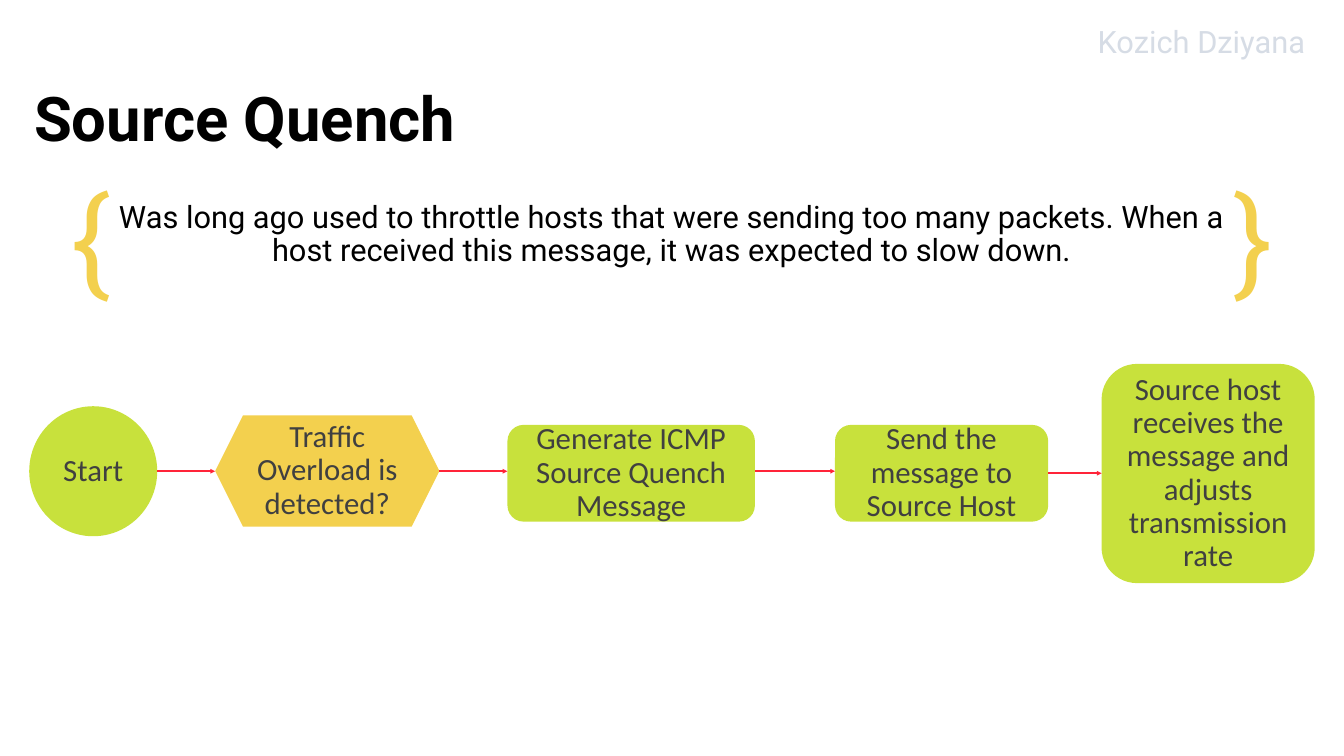
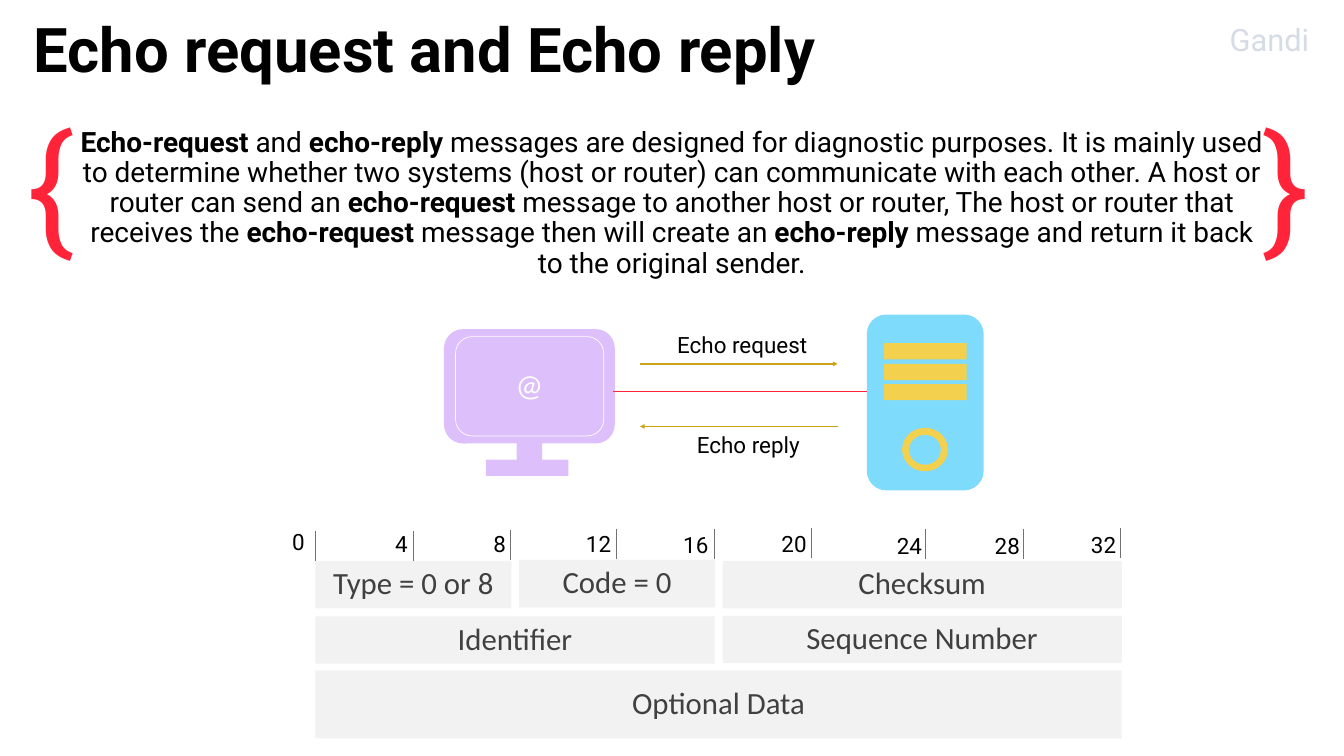
"""Build two slides on ICMP source quench and echo messages."""
import itertools

import pptx
import pptx.dml.color
import pptx.enum.shapes
import pptx.enum.text
import pptx.oxml.ns
import pptx.util
from lxml import etree

SHAPE = pptx.enum.shapes.MSO_SHAPE
ANCHOR = pptx.enum.text.MSO_ANCHOR
ALIGN = pptx.enum.text.PP_ALIGN

PX = 9144
WIDTH, HEIGHT = 2667, 1500
BLACK, WHITE, DARK, PALE = "000000", "FFFFFF", "404040", "D6DCE5"
GREEN, YELLOW, RED, GOLD = "C8E13C", "F3D04E", "FF2439", "CBA318"
LILAC, BLUE, GREY, TICK = "DDBFFC", "7FDBFB", "F2F2F2", "767171"

QUENCH = {
    "title": ("Source Quench", (58, 96, 1357, 290)),
    "author": ("Kozich Dziyana", (2172, 48, 437, 78)),
    "body": ([("Was long ago used to throttle hosts that were sending too many packets. "
               "When a host received this message, it was expected to slow down.", False)],
             (185, 396, 2297, 181), 44),
    "braces": ((133, 2437), (355, 98, 263), 166, YELLOW),
}
STEPS = [
    ("Start", SHAPE.OVAL, GREEN, (58, 806, 254, 258)),
    ("Traffic Overload is detected?", SHAPE.HEXAGON, YELLOW, (427, 824, 445, 221)),
    ("Generate ICMP Source Quench Message", SHAPE.ROUNDED_RECTANGLE, GREEN, (1007, 843, 491, 192)),
    ("Send the message to Source Host", SHAPE.ROUNDED_RECTANGLE, GREEN, (1657, 843, 423, 192)),
    ("Source host receives the message and adjusts transmission rate",
     SHAPE.ROUNDED_RECTANGLE, GREEN, (2186, 722, 423, 435)),
]
ARROW_HEIGHTS = [935, 935, 935, 939]

ECHO = {
    "title": ("Echo request and Echo reply", (57, -41, 1720, 290)),
    "author": ("Gandi", (2434, 43, 176, 78)),
    "body": ([("Echo-request", True), (" and ", False), ("echo-reply", True),
              (" messages are designed for diagnostic purposes. It is mainly used to determine "
               "whether two systems (host or router) can communicate with each other. A host or "
               "router can send an ", False), ("echo-request", True),
              (" message to another host or router, The host or router that receives the ", False),
              ("echo-request", True), (" message then will create an ", False),
              ("echo-reply", True),
              (" message and return it back to the original sender.", False)],
             (146, 249, 2374, 266), 40),
    "braces": ((45, 2496), (226, 113, 313), 199, RED),
}
COMPUTER = [
    (SHAPE.ROUNDED_RECTANGLE, (881, 653, 339, 227), LILAC, None, "@"),
    (SHAPE.ROUNDED_RECTANGLE, (904, 668, 294, 197), None, WHITE, ""),
    (SHAPE.RECTANGLE, (1025, 876, 51, 59), LILAC, None, ""),
    (SHAPE.RECTANGLE, (964, 912, 164, 32), LILAC, None, ""),
]
SERVER_CASE = (1720, 624, 232, 349)
DRIVE_TOPS = [681, 722, 762]
BUTTON_RINGS = [((1790, 849, 91, 86), YELLOW), ((1804, 863, 63, 59), BLUE)]
LINKS = [
    ((1216, 777), (1720, 777), RED, False),
    ((1270, 722), (1662, 722), GOLD, True),
    ((1662, 846), (1270, 846), GOLD, True),
]
LINK_LABELS = [("Echo request", (1334, 658, 284, 59)), ("Echo reply", (1373, 856, 232, 59))]
FIELDS = [
    ("Type = 0 or 8", (626, 1113, 389, 94)),
    ("Code = 0", (1030, 1111, 389, 94)),
    ("Identifier", (626, 1223, 792, 94)),
    ("Sequence Number", (1434, 1222, 792, 94)),
    ("Checksum", (1434, 1113, 792, 94)),
    ("Optional Data", (626, 1330, 1600, 135)),
]
BIT_STEP = 4
BIT_MARKS = [
    ((626, 1054), (570, 1048, 45)),
    ((820, 1054), (774, 1053, 45)),
    ((1013, 1052), (969, 1052, 45)),
    ((1223, 1050), (1153, 1053, 70)),
    ((1417, 1050), (1346, 1055, 70)),
    ((1610, 1048), (1541, 1053, 87)),
    ((1837, 1050), (1770, 1057, 87)),
    ((2031, 1050), (1964, 1057, 87)),
    ((2224, 1048), (2155, 1055, 87)),
]


def rgb(value):
    return pptx.dml.color.RGBColor.from_string(value)


def emu(lengths):
    return [length * PX for length in lengths]


def write(shape, spans, size, color, font="Roboto", align=ALIGN.LEFT,
          anchor=ANCHOR.TOP, wrap=True):
    frame = shape.text_frame
    frame.word_wrap = wrap
    frame.vertical_anchor = anchor
    para = frame.paragraphs[0]
    para.alignment = align
    para.line_spacing = 0.9
    for text, bold in spans:
        span = para.add_run()
        span.text = text
        span.font.name = font
        span.font.size = pptx.util.Pt(size)
        span.font.bold = bold
        span.font.color.rgb = rgb(color)


def add_text(shapes, place, spans, size, color, **style):
    box = shapes.add_textbox(*emu(place))
    write(box, spans, size, color, **style)
    return box


def add_shape(shapes, kind, place, fill=None, line=None, text="", color=DARK):
    shape = shapes.add_shape(kind, *emu(place))
    shape.shadow.inherit = False
    if fill:
        shape.fill.solid()
        shape.fill.fore_color.rgb = rgb(fill)
    else:
        shape.fill.background()
    if line:
        shape.line.color.rgb = rgb(line)
        shape.line.width = pptx.util.Pt(1)
    else:
        shape.line.fill.background()
    if text:
        write(shape, [(text, False)], 44, color, "Calibri", ALIGN.CENTER, ANCHOR.MIDDLE)


def add_line(shapes, start, end, color, width=2.25, arrow=False):
    line = shapes.add_connector(pptx.enum.shapes.MSO_CONNECTOR.STRAIGHT, *emu(start + end))
    line.line.color.rgb = rgb(color)
    line.line.width = pptx.util.Pt(width)
    if arrow:
        etree.SubElement(line.line._get_or_add_ln(), pptx.oxml.ns.qn("a:tailEnd"), type="triangle")
    etree.SubElement(line._element.spPr, pptx.oxml.ns.qn("a:effectLst"))


def add_page(deck, content):
    page = deck.slides.add_slide(deck.slide_layouts[6])
    spans, place, size = content["body"]
    add_text(page.shapes, place, spans, size, BLACK, align=ALIGN.CENTER)
    title, place = content["title"]
    add_text(page.shapes, place, [(title, True)], 88, BLACK, anchor=ANCHOR.MIDDLE)
    lefts, (top, width, height), size, color = content["braces"]
    for brace, left in zip("{}", lefts):
        add_text(page.shapes, (left, top, width, height), [(brace, False)], size, color, wrap=False)
    author, place = content["author"]
    box = add_text(page.shapes, place, [(author, False)], 44, PALE,
                   anchor=ANCHOR.MIDDLE, wrap=False)
    frame = box.text_frame
    frame.margin_left = frame.margin_right = frame.margin_top = frame.margin_bottom = 6 * PX
    return page


def draw_flow(shapes):
    for text, kind, fill, place in STEPS:
        add_shape(shapes, kind, place, fill, text=text)
    places = [step[3] for step in STEPS]
    for (before, after), y in zip(itertools.pairwise(places), ARROW_HEIGHTS):
        add_line(shapes, (before[0] + before[2], y), (after[0], y), RED, arrow=True)


def draw_exchange(shapes):
    for kind, place, fill, line, text in COMPUTER:
        add_shape(shapes, kind, place, fill, line, text, WHITE)
    add_shape(shapes, SHAPE.ROUNDED_RECTANGLE, SERVER_CASE, BLUE)
    for top in DRIVE_TOPS:
        add_shape(shapes, SHAPE.RECTANGLE, (1754, top, 164, 32), YELLOW)
    for place, fill in BUTTON_RINGS:
        add_shape(shapes, SHAPE.OVAL, place, fill)
    for start, end, color, arrow in LINKS:
        add_line(shapes, start, end, color, arrow=arrow)
    for label, place in LINK_LABELS:
        add_text(shapes, place, [(label, False)], 32, BLACK, wrap=False)


def draw_header_format(shapes):
    for text, place in FIELDS:
        add_shape(shapes, SHAPE.RECTANGLE, place, GREY, text=text)
    for index, ((x, top), (left, label_top, width)) in enumerate(BIT_MARKS):
        bit = index * BIT_STEP
        add_line(shapes, (x, top), (x, top + 59), TICK, 1.5)
        add_text(shapes, (left, label_top, width, 59), [(str(bit), False)], 32, BLACK,
                 wrap=bit >= 20)


def main():
    deck = pptx.Presentation()
    deck.slide_width, deck.slide_height = emu((WIDTH, HEIGHT))
    draw_flow(add_page(deck, QUENCH).shapes)
    echo_page = add_page(deck, ECHO)
    for draw in (draw_exchange, draw_header_format):
        draw(echo_page.shapes.add_group_shape().shapes)
    deck.save("out.pptx")


if __name__ == "__main__":
    main()
